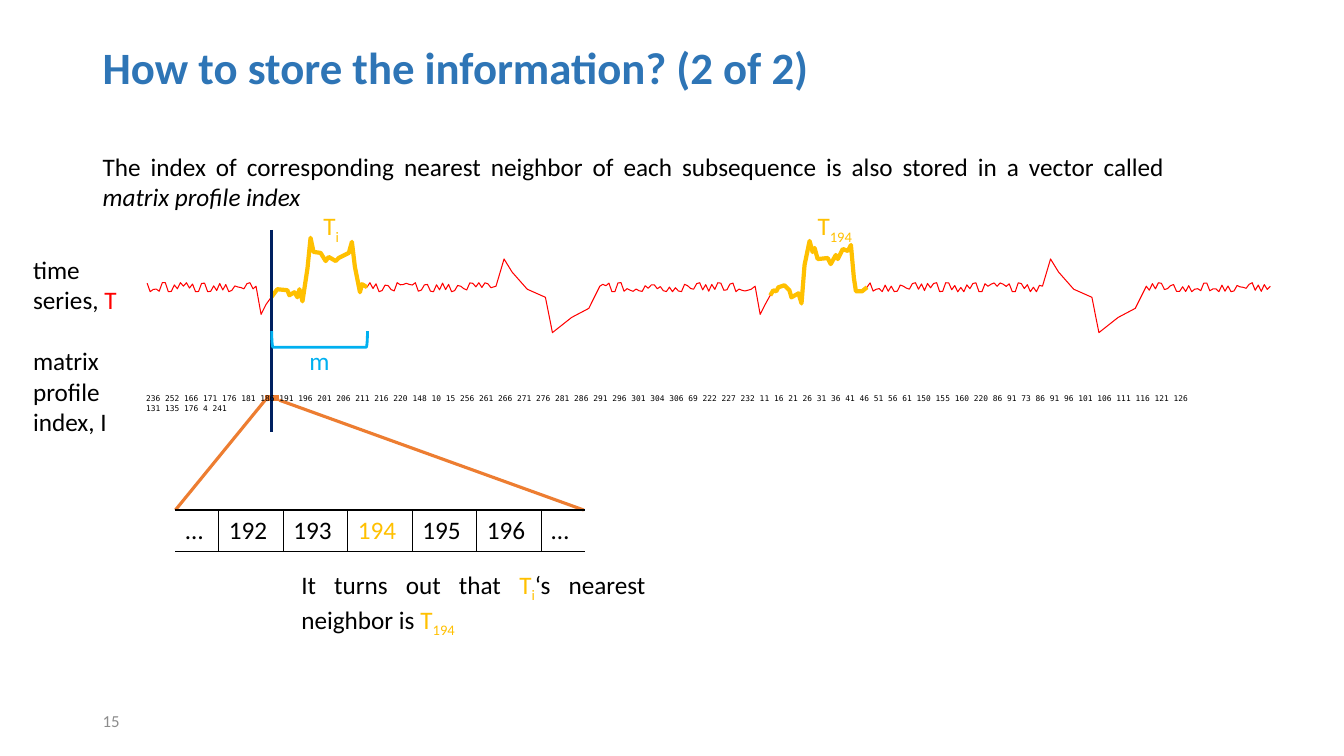
import math

from lxml import etree
from pptx import Presentation
from pptx.dml.color import RGBColor
from pptx.enum.shapes import MSO_CONNECTOR, MSO_SHAPE
from pptx.enum.text import MSO_ANCHOR, PP_ALIGN
from pptx.oxml.ns import qn
from pptx.util import Inches, Pt

STRAIGHT = MSO_CONNECTOR.STRAIGHT
LEFT_BRACKET = MSO_SHAPE.LEFT_BRACKET
MIDDLE, TOP = MSO_ANCHOR.MIDDLE, MSO_ANCHOR.TOP
LEFT, JUSTIFY = PP_ALIGN.LEFT, PP_ALIGN.JUSTIFY

BLACK = RGBColor(0x00, 0x00, 0x00)
TITLE_BLUE = RGBColor(0x2E, 0x75, 0xB6)
RED = RGBColor(0xFF, 0x00, 0x00)
GOLD = RGBColor(0xFF, 0xC0, 0x00)
ORANGE = RGBColor(0xED, 0x7D, 0x31)
NAVY = RGBColor(0x00, 0x20, 0x60)
SKY = RGBColor(0x00, 0xB0, 0xF0)
GRAY = RGBColor(0x8C, 0x8C, 0x8C)

# Features of the time series as (distance from the start, height) in inches
DIP = [(0, 2.84), (0.05, 3.12), (0.1, 3.02)]
WAVE = [(0, 2.84), (0.08, 2.57), (0.16, 2.7), (0.31, 2.87), (0.49, 2.95),
        (0.56, 3.3), (0.75, 3.15), (0.92, 3.06), (1.03, 2.84)]
MATCH_I = [
    (0, 2.95), (0.06, 2.87), (0.16, 2.88), (0.18, 2.93), (0.23, 2.9),
    (0.26, 2.95), (0.28, 2.87), (0.31, 2.99), (0.36, 2.66), (0.39, 2.36),
    (0.42, 2.5), (0.49, 2.51), (0.54, 2.59), (0.57, 2.55), (0.64, 2.59),
    (0.67, 2.56), (0.77, 2.51), (0.8, 2.4), (0.83, 2.65), (0.88, 2.9),
    (0.9, 2.82), (0.95, 2.85)]
MATCH_194 = [
    (0, 2.93), (0.03, 2.88), (0.06, 2.89), (0.08, 2.85), (0.14, 2.83),
    (0.19, 2.88), (0.21, 2.95), (0.28, 2.91), (0.31, 3.01), (0.34, 2.63),
    (0.39, 2.39), (0.42, 2.5), (0.44, 2.46), (0.47, 2.57), (0.57, 2.56),
    (0.6, 2.62), (0.65, 2.53), (0.67, 2.57), (0.72, 2.47), (0.77, 2.49),
    (0.8, 2.43), (0.83, 2.76), (0.85, 2.89), (0.91, 2.89), (0.96, 2.85)]
FEATURES = [(2.54, DIP), (2.69, MATCH_I), (4.92, WAVE), (7.49, DIP),
            (7.64, MATCH_194), (10.34, WAVE), (12.6, [(0, 2.84)])]
SAMPLE_STEP = 0.03
INDEX_VALUES = (
    "236 252 166 171 176 181 186 191 196 201 206 211 216 220 148 10 15 256 261 "
    "266 271 276 281 286 291 296 301 304 306 69 222 227 232 11 16 21 26 31 36 41 "
    "46 51 56 61 150 155 160 220 86 91 73 86 91 96 101 106 111 116 121 126 131 "
    "135 176 4 241")

presentation = Presentation()
presentation.slide_width = Inches(13.33)
presentation.slide_height = Inches(7.5)
slide = presentation.slides.add_slide(presentation.slide_layouts[6])


def add_text(box, runs, size=18, color=BLACK, font="Calibri", bold=None,
             align=LEFT, wrap=True, anchor=TOP, inset=None, spacing=None):
    """Add a text box; a run is (text, {color, italic, subscript})."""
    frame = slide.shapes.add_textbox(*map(Inches, box)).text_frame
    frame.word_wrap = wrap
    frame.vertical_anchor = anchor
    if inset is not None:
        frame.margin_left = frame.margin_right = Inches(inset)
        frame.margin_top = frame.margin_bottom = Inches(inset)
    paragraph = frame.paragraphs[0]
    paragraph.alignment = align
    paragraph.line_spacing = spacing
    paragraph.font.name = font
    paragraph.font.size = Pt(size)
    paragraph.font.bold = bold
    paragraph.font.color.rgb = color
    for text, style in runs:
        run = paragraph.add_run()
        run.text = text
        if "color" in style:
            run.font.color.rgb = style["color"]
        if "italic" in style:
            run.font.italic = True
        if "subscript" in style:
            run._r.get_or_add_rPr().set("baseline", "-25000")


def add_curve(points, color, width):
    corners = [(Inches(x), Inches(y)) for x, y in points]
    builder = slide.shapes.build_freeform(*corners[0])
    builder.add_line_segments(corners[1:], close=False)
    curve = builder.convert_to_shape()
    curve.shadow.inherit = False
    curve.fill.background()
    curve.line.color.rgb = color
    curve.line.width = Pt(width)


# Time series: small noise between the features, matches drawn again in gold
series, matches = [(1.46, 2.81)], []
for start, feature in FEATURES:
    last_x = series[-1][0]
    for sample in range(1, int((start - last_x) / SAMPLE_STEP)):
        noise = 0.045 * math.sin(1.7 * len(series) ** 2)
        series.append((last_x + sample * SAMPLE_STEP, 2.85 + noise))
    points = [(start + x, y) for x, y in feature]
    series += points
    if feature in (MATCH_I, MATCH_194):
        matches.append(points)
add_curve(series, RED, 0)
for points in matches:
    add_curve(points, GOLD, 3)

# Marker at the subsequence and zoom lines to the table
for x1, y1, x2, y2, color, width in [
    (2.63, 3.95, 2.77, 3.95, ORANGE, 4),
    (2.69, 2.28, 2.69, 4.29, NAVY, 2.25),
    (2.63, 3.97, 1.74, 5.06, ORANGE, 2.25),
    (2.77, 3.97, 5.79, 5.06, ORANGE, 2.25),
]:
    line = slide.shapes.add_connector(STRAIGHT, *map(Inches, (x1, y1, x2, y2)))
    line.line.color.rgb = color
    line.line.width = Pt(width)
    etree.SubElement(line._element.spPr, qn("a:effectLst"))

bracket = slide.shapes.add_shape(
    LEFT_BRACKET, Inches(3.09), Inches(2.89), Inches(0.16), Inches(0.95))
bracket.rotation = 270
bracket.shadow.inherit = False
bracket.fill.background()
bracket.line.color.rgb = SKY
bracket.line.width = Pt(2)

# Zoomed part of the index
column_widths = [0.43] + [0.64] * 5 + [0.43]
values = ["…", "192", "193", "194", "195", "196", "…"]
table = slide.shapes.add_table(
    1, len(values), Inches(1.74), Inches(5.06), Inches(4.06), Inches(0.41)).table
table.first_row = table.horz_banding = False
for column, (width, value) in enumerate(zip(column_widths, values)):
    table.columns[column].width = Inches(width)
    cell = table.cell(0, column)
    open_side = {0: "L", len(values) - 1: "R"}.get(column)
    for side in "LRTB":
        border = etree.SubElement(
            cell._tc.get_or_add_tcPr(), qn(f"a:ln{side}"), w=str(Pt(1)))
        if side == open_side:
            etree.SubElement(border, qn("a:noFill"))
        else:
            fill = etree.SubElement(border, qn("a:solidFill"))
            etree.SubElement(fill, qn("a:srgbClr"), val=str(BLACK))
    cell.fill.background()
    cell.text = value
    font = cell.text_frame.paragraphs[0].font
    font.name = "Calibri"
    font.size = Pt(18)
    font.color.rgb = GOLD if value == "194" else BLACK

# Wording
gold = {"color": GOLD}
gold_subscript = {"color": GOLD, "subscript": True}
add_text((0.92, 0.4, 11.5, 0.85), [("How to store the information? (2 of 2)", {})],
         size=32, color=TITLE_BLUE, bold=True, spacing=0.9)
add_text((0.92, 1.45, 10.73, 0.71), [
    ("The index of corresponding nearest neighbor of each subsequence is also "
     "stored in a vector called ", {}),
    ("matrix profile index", {"italic": True})], align=JUSTIFY)
add_text((0.23, 2.47, 1.07, 0.71), [("time series, ", {}), ("T", {"color": RED})])
add_text((0.23, 3.38, 1.14, 1.01), [("matrix profile index, I", {})])
add_text((3.11, 2.04, 0.36, 0.4), [("T", gold), ("i", gold_subscript)], wrap=False)
add_text((8.01, 2.04, 0.58, 0.4), [("T", gold), ("194", gold_subscript)], wrap=False)
add_text((2.97, 3.38, 0.4, 0.4), [("m", {})], color=SKY, wrap=False)
add_text((1.45, 3.91, 10.36, 0.09), [(INDEX_VALUES, {})],
         size=5.6, font="DejaVu Sans Mono", inset=0)
add_text((2.89, 5.6, 3.61, 0.71), [
    ("It turns out that ", {}), ("T", gold), ("i", gold_subscript),
    ("‘s nearest neighbor is ", {}), ("T", gold), ("194", gold_subscript)],
    align=JUSTIFY)
add_text((0.92, 6.95, 0.54, 0.4), [("15", {})], size=12, color=GRAY, anchor=MIDDLE)

presentation.save("out.pptx")
